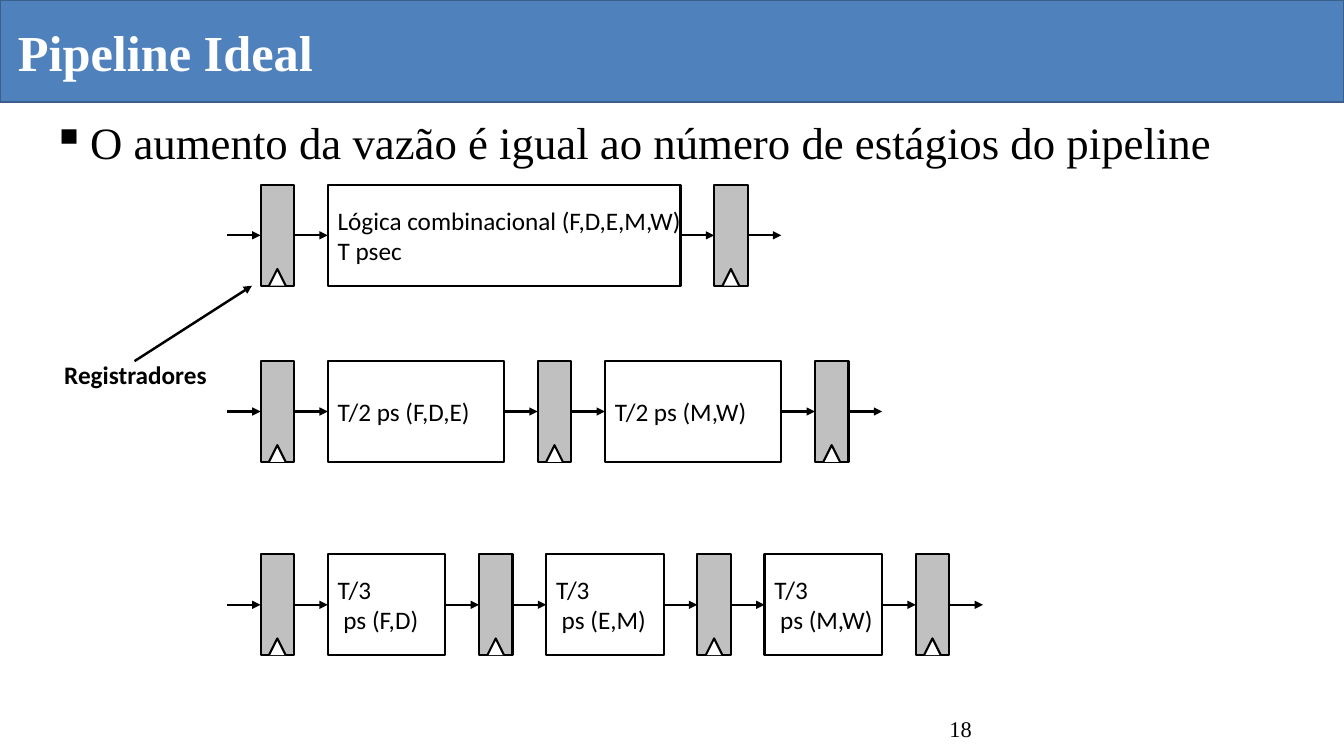
from lxml import etree
from pptx import Presentation
from pptx.dml.color import RGBColor
from pptx.enum import shapes, text
from pptx.oxml import ns
from pptx.util import Cm, Pt

TITLE = "Pipeline Ideal"
STATEMENT = "O aumento da vazão é igual ao número de estágios do pipeline"
REGISTER_LABEL = "Registradores"
SLIDE_NUMBER = "18"
# Top of each pipeline in cm, then the lines of text in each of its stages
PIPELINES = [
    (4.66, [["Lógica combinacional (F,D,E,M,W)", "T psec"]]),
    (9.1, [["T/2 ps (F,D,E)"], ["T/2 ps (M,W)"]]),
    (13.97, [["T/3", " ps (F,D)"], ["T/3", " ps (E,M)"], ["T/3", " ps (M,W)"]]),
]

BLACK = RGBColor(0x00, 0x00, 0x00)
WHITE = RGBColor(0xFF, 0xFF, 0xFF)
GRAY = RGBColor(0xC0, 0xC0, 0xC0)
BLUE = RGBColor(0x4F, 0x81, 0xBD)
DARK_BLUE = RGBColor(0x3A, 0x5F, 0x8C)
SERIF = "Times New Roman"
SANS = "Calibri"

SLIDE_WIDTH, SLIDE_HEIGHT = 33.87, 19.05
BAR_HEIGHT = 2.57
PIPELINE_LEFT = 5.72
STEP = 2.54 / 3  # length of an arrow and width of a register
LOGIC_WIDTH = 8.89  # shared equally by the stages of a pipeline
STAGE_HEIGHT = 2.54
CLOCK_SIZE = STEP / 2

presentation = Presentation()
presentation.slide_width = Cm(SLIDE_WIDTH)
presentation.slide_height = Cm(SLIDE_HEIGHT)
slide = presentation.slides.add_slide(presentation.slide_layouts[6])


def write(shape, lines, font=SANS, size=18, color=BLACK, bold=False, wrap=False,
          anchor=text.MSO_ANCHOR.MIDDLE, align=text.PP_ALIGN.LEFT, bullet=None):
    frame = shape.text_frame
    frame.word_wrap = wrap
    frame.vertical_anchor = anchor
    for index, line in enumerate(lines):
        paragraph = frame.paragraphs[0] if index == 0 else frame.add_paragraph()
        paragraph.alignment = align
        if bullet:
            properties = paragraph._p.get_or_add_pPr()
            properties.set("marL", str(Cm(0.95)))
            properties.set("indent", str(-Cm(0.95)))
            etree.SubElement(properties, ns.qn("a:buChar")).set("char", bullet)
        run = paragraph.add_run()
        run.text = line
        run.font.name = font
        run.font.size = Pt(size)
        run.font.bold = bold
        run.font.color.rgb = color


def add_text(left, top, width, height, line, **style):
    box = slide.shapes.add_textbox(Cm(left), Cm(top), Cm(width), Cm(height))
    write(box, [line], **style)


def paint(shape, fill, line=BLACK, weight=1.5):
    shape.shadow.inherit = False
    shape.fill.solid()
    shape.fill.fore_color.rgb = fill
    shape.line.color.rgb = line
    shape.line.width = Pt(weight)


def add_box(left, top, width, height, fill, **outline):
    box = slide.shapes.add_shape(
        shapes.MSO_SHAPE.RECTANGLE, Cm(left), Cm(top), Cm(width), Cm(height))
    paint(box, fill, **outline)
    return box


def add_arrow(x1, y1, x2, y2, weight=1.5):
    arrow = slide.shapes.add_connector(
        shapes.MSO_CONNECTOR.STRAIGHT, Cm(x1), Cm(y1), Cm(x2), Cm(y2))
    arrow.line.color.rgb = BLACK
    arrow.line.width = Pt(weight)
    etree.SubElement(arrow.line._get_or_add_ln(), ns.qn("a:tailEnd")).set("type", "triangle")
    etree.SubElement(arrow._element.spPr, ns.qn("a:effectLst"))


def add_register(left, top):
    """Draw a register with its clock mark and the arrows into and out of it."""
    add_box(left, top, STEP, STAGE_HEIGHT, GRAY)
    center, bottom = left + STEP / 2, top + STAGE_HEIGHT
    clock = slide.shapes.build_freeform(Cm(center - CLOCK_SIZE / 2), Cm(bottom))
    clock.add_line_segments(
        [(Cm(center), Cm(bottom - CLOCK_SIZE)), (Cm(center + CLOCK_SIZE / 2), Cm(bottom))],
        close=False)
    paint(clock.convert_to_shape(), WHITE)
    middle = top + STAGE_HEIGHT / 2
    for start in (left - STEP, left + STEP):
        add_arrow(start, middle, start + STEP, middle)


def add_pipeline(top, stages):
    stage_width = LOGIC_WIDTH / len(stages)
    left = PIPELINE_LEFT + STEP
    add_register(left, top)
    for lines in stages:
        stage_left = left + 2 * STEP
        write(add_box(stage_left, top, stage_width, STAGE_HEIGHT, WHITE), lines)
        left = stage_left + stage_width + STEP
        add_register(left, top)


add_box(0, 0, SLIDE_WIDTH, BAR_HEIGHT, BLUE, line=DARK_BLUE, weight=2)
add_text(0.2, 0, 33.02, BAR_HEIGHT, TITLE, font=SERIF, size=36, color=WHITE, bold=True, wrap=True)
add_text(1.07, 2.77, 31.95, 14.43, STATEMENT, font=SERIF, size=32, wrap=True,
         anchor=text.MSO_ANCHOR.TOP, bullet="▪")
add_text(18.82, 17.55, 5.92, 1.27, SLIDE_NUMBER, font=SERIF, size=16, wrap=True,
         anchor=text.MSO_ANCHOR.BOTTOM, align=text.PP_ALIGN.RIGHT)
for pipeline_top, pipeline_stages in PIPELINES:
    add_pipeline(pipeline_top, pipeline_stages)
add_arrow(3.39, 9.1, 6.35, 7.2, weight=1.75)
add_text(1.37, 8.92, 4.11, 1.02, REGISTER_LABEL, bold=True, anchor=text.MSO_ANCHOR.TOP)

presentation.save("out.pptx")
